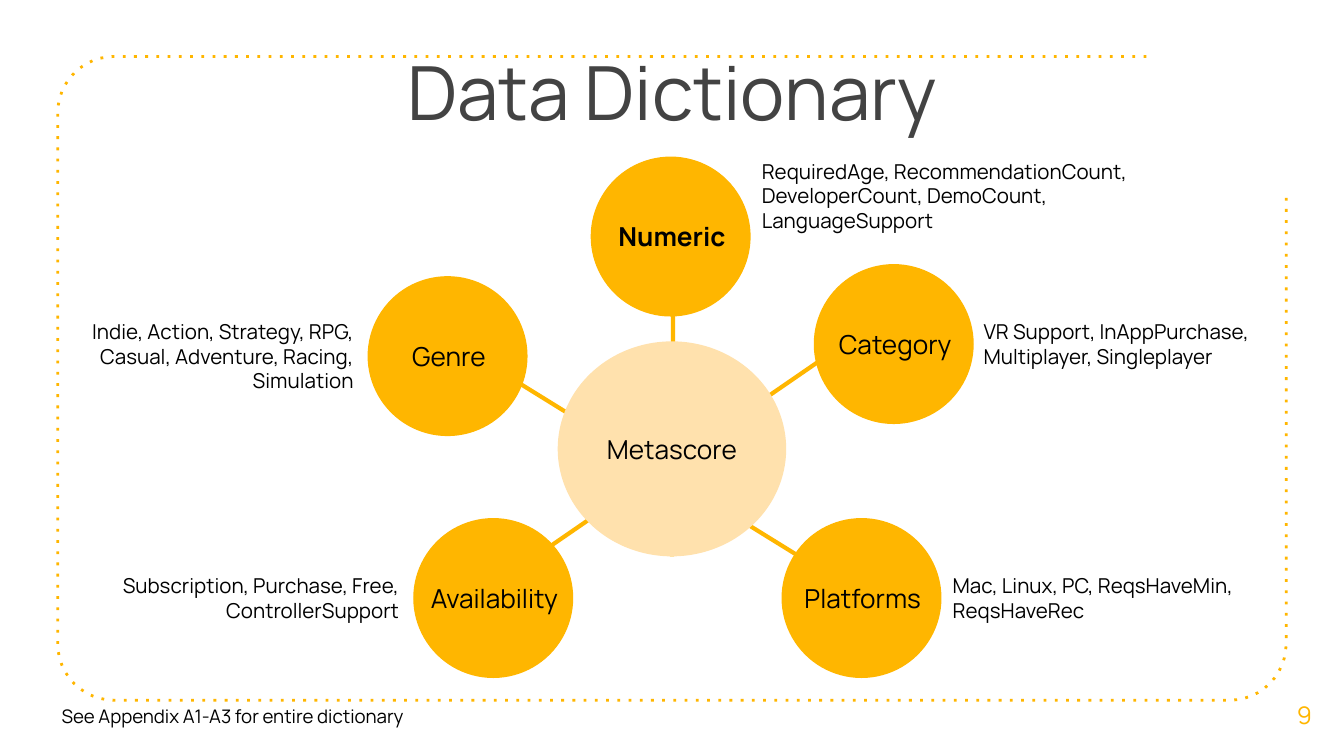
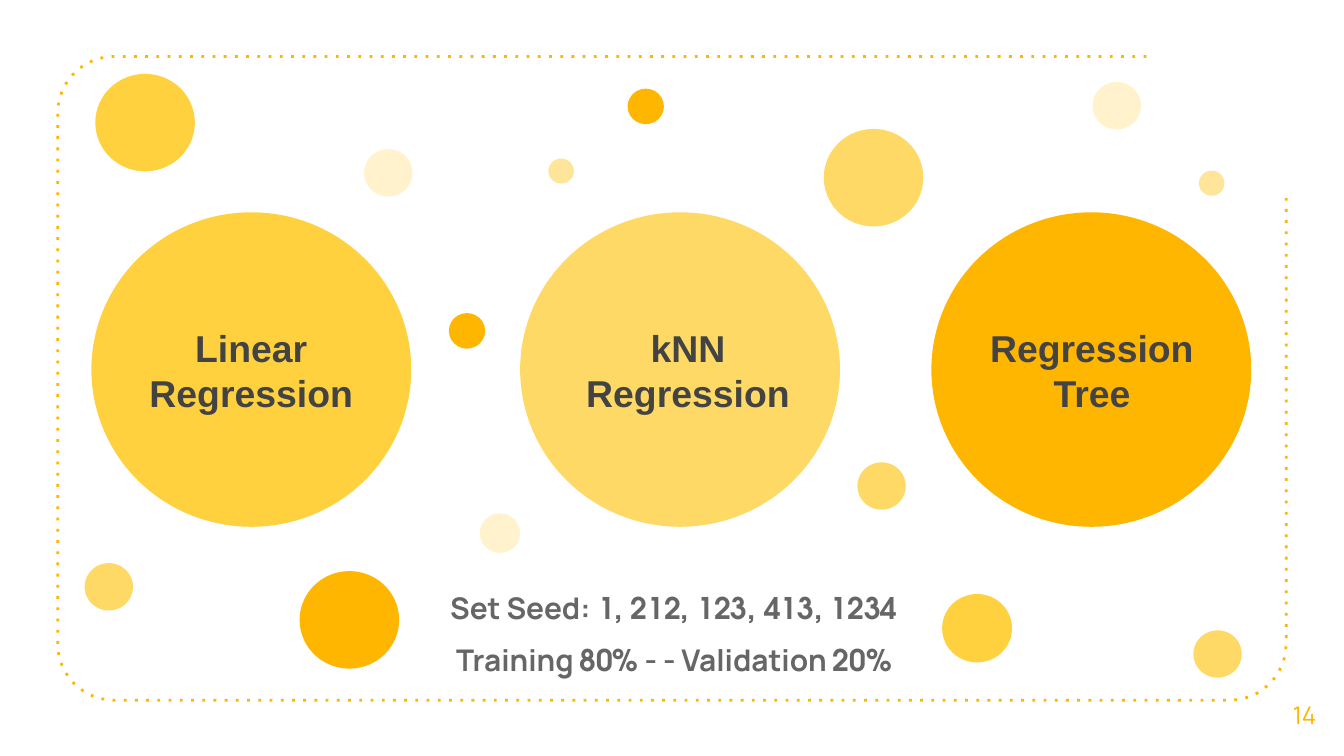
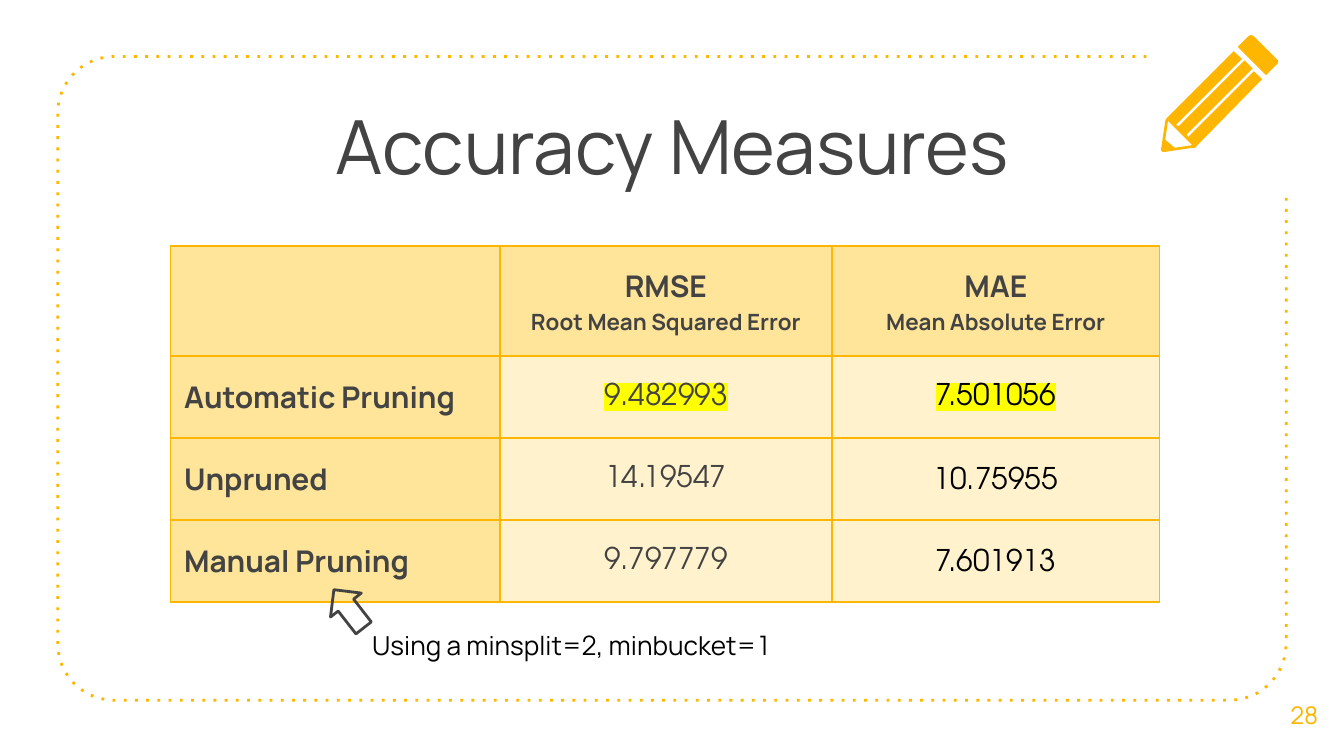
from math import cos, radians, sin

from lxml import etree
from pptx import Presentation
from pptx.dml.color import RGBColor
from pptx.enum.dml import MSO_LINE
from pptx.enum.shapes import MSO_CONNECTOR, MSO_SHAPE
from pptx.enum.text import MSO_ANCHOR, PP_ALIGN
from pptx.oxml.ns import qn
from pptx.util import Emu, Inches, Pt

LEFT, MID, RIGHT = PP_ALIGN.LEFT, PP_ALIGN.CENTER, PP_ALIGN.RIGHT
TOP, CORE = MSO_ANCHOR.TOP, MSO_ANCHOR.MIDDLE
OVAL, ARROW = MSO_SHAPE.OVAL, MSO_SHAPE.UP_ARROW
STRAIGHT, DOT = MSO_CONNECTOR.STRAIGHT, MSO_LINE.ROUND_DOT

WIDE, HIGH = 10, 5.625
GOLD, AMBER, SUN, SAND, CREAM = "FFB600", "FFD13F", "FFD966", "FFE599", "FFF2CC"
PEACH, DARK, GREY, BLACK, MARK = "FFE1AD", "434343", "666666", "000000", "FFFF00"
MAIN, ALT = "Manrope", "TeX Gyre Adventor"

NODE = 1.18
SPOKES = [
    ((6.28, 2.56), (3.68, 4.35)),
    ((3.7, 2.75), (6.27, 4.34)),
    ((5.01, 1.88), (5, 4.14)),
]
HUB = ("Metascore", (4.15, 2.54, 1.7, 1.6))
NODES = [
    ("Platforms", 5.82, 3.86, "Mac, Linux, PC, ReqsHaveMin, ReqsHaveRec",
     (6.99, 4.05, 2.59, 0.8), LEFT, CORE),
    ("Category", 6.06, 1.97, "VR Support, InAppPurchase, Multiplayer, Singleplayer",
     (7.22, 2.16, 2.46, 0.8), LEFT, CORE),
    ("Genre", 2.74, 2.06,
     "Indie, Action, Strategy, RPG, Casual, Adventure, Racing, Simulation",
     (0.19, 2.25, 2.54, 0.8), RIGHT, CORE),
    ("Numeric", 4.4, 1.17,
     "RequiredAge, RecommendationCount, DeveloperCount, DemoCount, LanguageSupport",
     (5.57, 1.08, 3.43, 0.8), LEFT, TOP),
    ("Availability", 3.08, 3.86, "Subscription, Purchase, Free, ControllerSupport",
     (0.61, 4.05, 2.46, 0.8), RIGHT, CORE),
]
HINT = "See Appendix A1-A3 for entire dictionary"

MODELS = [
    (["Linear", "Regression"], 0.68, AMBER, 0.98, 1.78),
    (["kNN", "Regression"], 3.87, SUN, 4.14, 1.96),
    (["Regression Tree"], 6.93, GOLD, 7.19, 1.87),
]
DOTS = [
    (2.23, 4.25, 0.74, GOLD), (6.13, 0.96, 0.74, SUN), (0.71, 0.55, 0.74, AMBER),
    (0.63, 4.19, 0.36, SUN), (6.38, 3.44, 0.36, SUN), (2.71, 1.11, 0.36, CREAM),
    (8.88, 4.69, 0.36, SUN), (3.57, 3.82, 0.3, CREAM), (8.13, 0.61, 0.36, CREAM),
    (4.67, 0.66, 0.27, GOLD), (3.34, 2.33, 0.27, GOLD), (7.01, 4.42, 0.52, AMBER),
    (8.92, 1.27, 0.19, SAND), (4.08, 1.18, 0.19, SAND),
]
SETUP = ["Set Seed:| 1, 212, 123, 413, 1234", "Training |80%| - - Validation |20%"]

SCORES = [
    ("", "RMSE\nRoot Mean Squared Error", "MAE\nMean Absolute Error"),
    ("Automatic Pruning", "9.482993", "7.501056"),
    ("Unpruned", "14.19547", "10.75955"),
    ("Manual Pruning", "9.797779", "7.601913"),
]
COLS, ROWS = (2.45, 2.47, 2.44), (0.82, 0.61, 0.61, 0.61)
RULE = "Using a minsplit=|2|, minbucket=|1"
CAP = [[(9.31, 0.26), (9.29, 0.27), (9.21, 0.35), (9.42, 0.56), (9.5, 0.48),
        (9.51, 0.47), (9.51, 0.45), (9.5, 0.44), (9.33, 0.27)]]
BODY = [
    [(8.69, 0.9), (8.87, 1.08), (8.74, 1.1), (8.67, 1.04)],
    [(9.18, 0.38), (8.68, 0.88), (8.67, 0.9), (8.64, 1.1), (8.64, 1.12),
     (8.65, 1.13), (8.67, 1.13), (8.87, 1.1), (8.89, 1.1), (9.39, 0.59),
     (9.33, 0.53), (8.84, 1.02), (8.83, 1), (9.32, 0.51), (9.26, 0.45),
     (8.77, 0.94), (8.75, 0.93), (9.24, 0.44)],
]


def tint(code):
    return RGBColor.from_string(code)


def place(box):
    return [Inches(n) for n in box]


def write(frame, lines, size, color=BLACK, bold=False, font=MAIN, align=MID):
    frame.text = "\n".join(lines)
    for para, line in zip(frame.paragraphs, lines):
        para.alignment = align
        parts = line.split("|")
        para.text = parts[0]
        for part in parts[1:]:
            para.add_run().text = part
        for i, run in enumerate(para.runs):
            run.font.name = ALT if i % 2 else font
            run.font.size, run.font.bold = Pt(size), bold
            run.font.color.rgb = tint(color)


def pad(frame, anchor):
    frame.word_wrap = True
    frame.vertical_anchor = anchor
    frame.margin_left = frame.margin_right = Inches(0.1)
    frame.margin_top = frame.margin_bottom = Inches(0.1)


def note(slide, box, lines, size, anchor=CORE, **style):
    frame = slide.shapes.add_textbox(*place(box)).text_frame
    pad(frame, anchor)
    write(frame, lines, size, **style)
    return frame


def paint(shape, fill=None, line=None, width=0.75):
    shape.shadow.inherit = False
    if fill:
        shape.fill.solid()
        shape.fill.fore_color.rgb = tint(fill)
    else:
        shape.fill.background()
    if line:
        shape.line.color.rgb = tint(line)
        shape.line.width = Pt(width)
    else:
        shape.line.fill.background()
    return shape


def oval(slide, box, fill, line=None):
    return paint(slide.shapes.add_shape(OVAL, *place(box)), fill, line)


def trace(slide, loops, close=True):
    loops = [[(Inches(x), Inches(y)) for x, y in loop] for loop in loops]
    pen = slide.shapes.build_freeform(*loops[0][0], scale=1.0)
    for i, loop in enumerate(loops):
        if i:
            pen.move_to(*loop[0])
        pen.add_line_segments(loop[1:], close=close)
    return pen.convert_to_shape()


def arc(x, y, start, r=0.42, steps=12):
    turns = [radians(start - 90 * i / steps) for i in range(steps + 1)]
    return [(x + r * cos(t), y + r * sin(t)) for t in turns]


def base(deck, page, title=None, top=0):
    slide = deck.slides.add_slide(deck.slide_layouts[6])
    near, far, high, low = 0.85, WIDE - 0.85, 0.84, 4.79
    path = [(8.53, 0.42), *arc(near, high, 270), *arc(near, low, 180),
            *arc(far, low, 90), (9.57, 1.46)]
    edge = paint(trace(slide, [path], False), line=GOLD, width=1.5)
    edge.line.dash_style = DOT
    edge._element.find(".//" + qn("a:prstDash")).set("val", "dot")
    if title:
        note(slide, (0.41, top, 9.18, 0.94), [title], 40, TOP, color=DARK)
    note(slide, (9.41, 5.02, 0.59, 0.6), [str(page)], 13, color=GOLD)
    return slide


def spoke(slide, start, end):
    line = slide.shapes.add_connector(STRAIGHT, *place(start + end))
    line.line.color.rgb = tint(GOLD)
    line.line.width = Pt(2.25)
    etree.SubElement(line._element.spPr, qn("a:effectLst"))


def data_map(deck):
    slide = base(deck, 9, "Data Dictionary", 0.24)
    for start, end in SPOKES:
        spoke(slide, start, end)
    name, box = HUB
    frame = oval(slide, box, PEACH).text_frame
    pad(frame, CORE)
    write(frame, [name], 14)
    for name, x, y, text, box, align, anchor in NODES:
        note(slide, box, [text], 11, anchor, align=align)
        oval(slide, (x, y, NODE, NODE), GOLD, GOLD)
        note(slide, (x + 0.01, y + 0.49, NODE, 0.2), [name], 14,
             bold=name == "Numeric")
    note(slide, (0.36, 5.16, 2.98, 0.33), [HINT], 10, TOP, align=LEFT)


def models(deck):
    slide = base(deck, 14)
    for lines, x, fill, left, width in MODELS:
        oval(slide, (x, 1.58, 2.38, 2.34), fill)
        note(slide, (left, 2.1, width, 1.31), lines, 20,
             color=DARK, bold=True, font="Arial")
    for x, y, size, fill in DOTS:
        oval(slide, (x, y, size, size * 0.98), fill)
    frame = note(slide, (2.69, 4.1, 4.65, 1.19), SETUP, 16, color=GREY, bold=True)
    for para in frame.paragraphs:
        para.line_spacing, para.space_before = 1.15, Pt(6)


def border(cell):
    props = cell._tc.get_or_add_tcPr()
    for i, side in enumerate(("lnL", "lnR", "lnT", "lnB")):
        line = etree.Element(qn("a:" + side), w=str(Pt(0.75)))
        fill = etree.SubElement(line, qn("a:solidFill"))
        etree.SubElement(fill, qn("a:srgbClr"), val=GOLD)
        props.insert(i, line)


def mark(run):
    fill = run._r.get_or_add_rPr().find(qn("a:solidFill"))
    glow = etree.Element(qn("a:highlight"))
    etree.SubElement(glow, qn("a:srgbClr"), val=MARK)
    fill.addnext(glow)


def fill_cell(cell, text, r, c):
    head = r == 0 or c == 0
    cell.fill.solid()
    cell.fill.fore_color.rgb = tint(SAND if head else CREAM)
    border(cell)
    cell.vertical_anchor = CORE
    cell.margin_left = cell.margin_right = Inches(0.1)
    cell.margin_top = cell.margin_bottom = Inches(0.07 if head else 0.1)
    if not text:
        return
    write(cell.text_frame, text.split("\n"), 16, bold=head,
          color=BLACK if c == 2 and r else DARK,
          font=MAIN if head else ALT, align=MID if c else LEFT)
    paras = cell.text_frame.paragraphs
    if r == 0:
        paras[1].runs[0].font.size = Pt(12)
    elif r == 1 and c:
        mark(paras[0].runs[0])
    elif c == 2:
        paras[0].line_spacing = 1.15


def scores(deck):
    slide = base(deck, 28, "Accuracy Measures", 0.64)
    box = place((1.27, 1.83, sum(COLS), sum(ROWS)))
    grid = slide.shapes.add_table(len(ROWS), len(COLS), *box).table
    grid.first_row = grid.horz_banding = False
    for col, width in zip(grid.columns, COLS):
        col.width = Inches(width)
    for r, row in enumerate(SCORES):
        grid.rows[r].height = Inches(ROWS[r])
        for c, text in enumerate(row):
            fill_cell(grid.cell(r, c), text, r, c)
    for loops in (CAP, BODY):
        paint(trace(slide, loops), GOLD)
    note(slide, (2.67, 4.58, 3.78, 0.36), [RULE], 14, TOP, align=LEFT)
    arrow = slide.shapes.add_shape(ARROW, *place((2.45, 4.35, 0.29, 0.36)))
    paint(arrow, line=DARK, width=1.5).rotation = 322.1


def main():
    deck = Presentation()
    deck.slide_width, deck.slide_height = Inches(WIDE), Emu(Inches(HIGH))
    data_map(deck)
    models(deck)
    scores(deck)
    deck.save("out.pptx")


if __name__ == "__main__":
    main()
